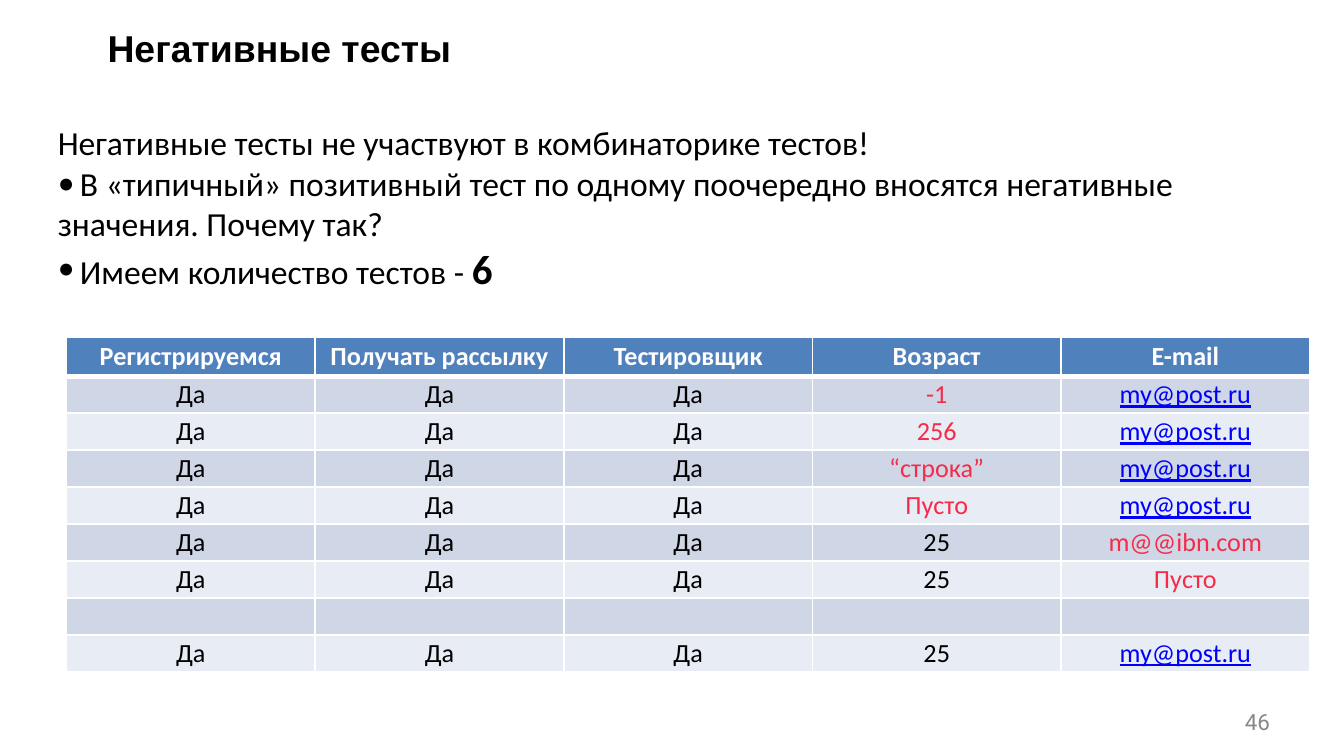
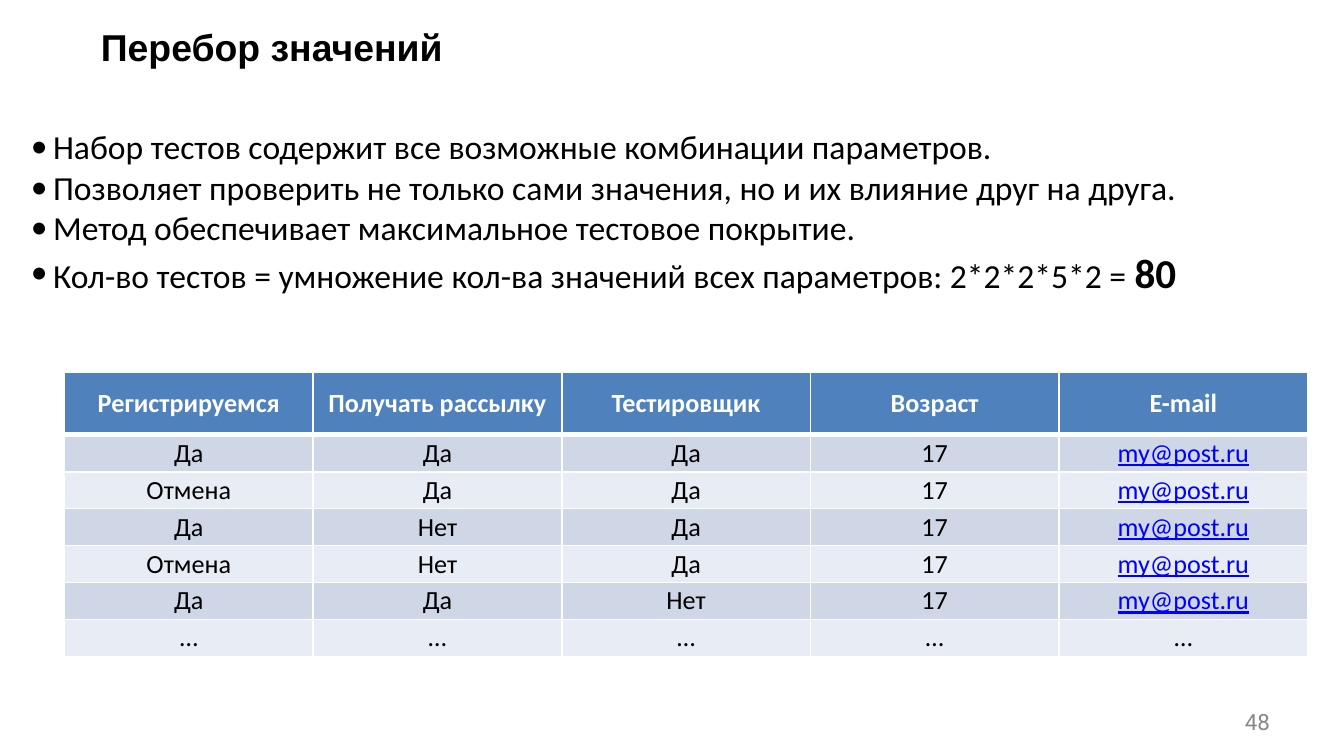
from dataclasses import dataclass

from lxml import etree
from pptx import Presentation
from pptx.dml.color import RGBColor
from pptx.enum import text
from pptx.oxml import ns
from pptx import util as u


@dataclass(frozen=True)
class Theme:
    # Colours
    ink: str = "000000"
    paper: str = "FFFFFF"
    header: str = "4F81BD"
    bands: tuple = ("CFD7E7", "E8ECF4")
    wrong: str = "F52B49"
    link: str = "0000FF"
    muted: str = "888888"
    # Fonts and sizes in points
    title_font: str = "Arial"
    body_font: str = "Calibri"
    number_font: str = "Roboto"
    title_size: int = 20
    body_size: int = 18
    result_size: int = 22
    cell_size: int = 14
    number_size: int = 12


# The slide is a grid of 100 columns by 56.25 square rows
COLUMNS, ROWS = 100, 56.25
BULLET_INDENT = 1.65
INSET = 0.5


class Deck:
    def __init__(self, theme):
        self.theme = theme
        self.prs = Presentation()
        self.prs.slide_width, self.prs.slide_height = u.Inches(10), u.Inches(5.625)
        self.slide = None

    def x(self, columns):
        return u.Emu(round(self.prs.slide_width * columns / COLUMNS))

    def y(self, rows):
        return u.Emu(round(self.prs.slide_height * rows / ROWS))

    def new_slide(self):
        self.slide = self.prs.slides.add_slide(self.prs.slide_layouts[1])

    def place(self, box, area, anchor=text.MSO_ANCHOR.TOP, wrap=True):
        left, top, width, height = area
        box.left, box.top = self.x(left), self.y(top)
        box.width, box.height = self.x(width), self.y(height)
        frame = box.text_frame
        settings = {"word_wrap": wrap, "vertical_anchor": anchor,
                    "auto_size": text.MSO_AUTO_SIZE.NONE}
        settings |= {f"margin_{side}": self.x(INSET)
                     for side in ("left", "top", "right", "bottom")}
        for name, value in settings.items():
            setattr(frame, name, value)
        return frame

    def add_words(self, paragraph, words, color, align=text.PP_ALIGN.LEFT, **style):
        paragraph.alignment = align
        run = paragraph.add_run()
        run.text = words
        run.font.color.rgb = RGBColor.from_string(color)
        for name, value in style.items():
            setattr(run.font, name, value)

    def title(self, words, left, top):
        frame = self.place(self.slide.shapes.title, (left, top, 69.8, 4.1))
        self.add_words(frame.paragraphs[0], words, self.theme.ink, bold=True,
                       name=self.theme.title_font, size=u.Pt(self.theme.title_size))

    def bullet(self, paragraph, shown):
        props = paragraph._p.get_or_add_pPr()
        indent = self.x(BULLET_INDENT) if shown else 0
        props.set("marL", str(indent))
        props.set("indent", str(-indent))
        if shown:
            etree.SubElement(props, ns.qn("a:buFont"), typeface=self.theme.body_font)
            etree.SubElement(props, ns.qn("a:buChar"), char="•")
        else:
            etree.SubElement(props, ns.qn("a:buNone"))

    def body(self, lines, result, area):
        """Lines are (words, bulleted); the result closes the last line."""
        frame = self.place(self.slide.placeholders[1], area)
        for index, (words, bulleted) in enumerate(lines):
            paragraph = frame.add_paragraph() if index else frame.paragraphs[0]
            paragraph.space_before = u.Pt(0)
            self.bullet(paragraph, bulleted)
            self.add_words(paragraph, words, self.theme.ink, name=self.theme.body_font,
                           size=u.Pt(self.theme.body_size))
        self.add_words(paragraph, result, self.theme.ink, name=self.theme.body_font,
                       size=u.Pt(self.theme.result_size), bold=True)

    def borders(self, cell, bottom):
        props = cell._tc.get_or_add_tcPr()
        widths = {"a:lnL": 1, "a:lnR": 1, "a:lnT": 1, "a:lnB": bottom}
        for index, (tag, width) in enumerate(widths.items()):
            line = etree.Element(ns.qn(tag), w=str(u.Pt(width)))
            fill = etree.SubElement(line, ns.qn("a:solidFill"))
            etree.SubElement(fill, ns.qn("a:srgbClr"), val=self.theme.paper)
            props.insert(index, line)

    def cell(self, cell, words, fill, color, bottom=1, **style):
        settings = {"margin_left": 0, "margin_top": 0, "margin_right": 0,
                    "margin_bottom": 0, "vertical_anchor": text.MSO_ANCHOR.MIDDLE}
        for name, value in settings.items():
            setattr(cell, name, value)
        cell.fill.solid()
        cell.fill.fore_color.rgb = RGBColor.from_string(fill)
        self.borders(cell, bottom)
        paragraph = cell.text_frame.paragraphs[0]
        size = u.Pt(self.theme.cell_size)
        if words:
            self.add_words(paragraph, words, color, text.PP_ALIGN.CENTER,
                           name=self.theme.body_font, size=size, **style)
        else:
            etree.SubElement(paragraph._p, ns.qn("a:endParaRPr"),
                             sz=str(int(size.pt * 100)))

    def table(self, header, tests, left, top, header_height, invalid=()):
        width, row_height = 92.5, 2.75
        height = header_height + row_height * len(tests)
        table = self.slide.shapes.add_table(
            len(tests) + 1, len(header), self.x(left), self.y(top),
            self.x(width), self.y(height)).table
        for column in table.columns:
            column.width = self.x(width / len(header))
        for index, row in enumerate(table.rows):
            row.height = self.y(row_height if index else header_height)
        for column, words in enumerate(header):
            self.cell(table.cell(0, column), words, self.theme.header,
                      self.theme.paper, bottom=3, bold=True)
        for index, values in enumerate(tests):
            for column, words in enumerate(values):
                is_link = words == EMAIL
                color = (self.theme.link if is_link else
                         self.theme.wrong if words in invalid else self.theme.ink)
                self.cell(table.cell(index + 1, column), words,
                          self.theme.bands[index % 2], color,
                          bold=False, underline=is_link)

    def page_number(self, number):
        box = self.slide.shapes.add_textbox(0, 0, 0, 0)
        frame = self.place(box, (92.1, 52.2, 2.9, 2.9), text.MSO_ANCHOR.MIDDLE, False)
        self.add_words(frame.paragraphs[0], str(number), self.theme.muted,
                       text.PP_ALIGN.RIGHT, name=self.theme.number_font,
                       size=u.Pt(self.theme.number_size))


# Shared content
EMAIL = "my@post.ru"
PARAMETERS = ["Регистрируемся", "Получать рассылку", "Тестировщик", "Возраст", "E-mail"]


def negative_tests(deck):
    deck.new_slide()
    deck.page_number(46)
    deck.title("Негативные тесты", 7.5, 1.4)
    deck.body([
        ("Негативные тесты не участвуют в комбинаторике тестов!", False),
        ("В «типичный» позитивный тест по одному поочередно вносятся негативные", True),
        ("значения. Почему так?", False),
        ("Имеем количество тестов - ", True),
    ], "6", (3.8, 8.6, 92.4, 13.4))
    wrong_ages = ["-1", "256", "“строка”", "Пусто"]
    wrong_emails = ["m@@ibn.com", "Пусто"]
    agreed = ["Да"] * 3
    tests = [agreed + [age, EMAIL] for age in wrong_ages]
    tests += [agreed + ["25", email] for email in wrong_emails]
    tests += [[""] * len(PARAMETERS), agreed + ["25", EMAIL]]
    deck.table(PARAMETERS, tests, 4.95, 25.1, 2.9, wrong_ages + wrong_emails)


def all_combinations(deck):
    deck.new_slide()
    deck.page_number(48)
    deck.title("Перебор значений", 7, 1.3)
    deck.body([
        ("Набор тестов содержит все возможные комбинации параметров.", True),
        ("Позволяет проверить не только сами значения, но и их влияние друг на друга.", True),
        ("Метод обеспечивает максимальное тестовое покрытие.", True),
        ("Кол-во тестов = умножение кол-ва значений всех параметров: 2*2*2*5*2 = ", True),
    ], "80", (1.8, 8.9, 96.4, 13.4))
    choices = [
        ("Да", "Да", "Да"),
        ("Отмена", "Да", "Да"),
        ("Да", "Нет", "Да"),
        ("Отмена", "Нет", "Да"),
        ("Да", "Да", "Нет"),
    ]
    tests = [[*choice, "17", EMAIL] for choice in choices]
    tests.append(["…"] * len(PARAMETERS))
    deck.table(PARAMETERS, tests, 4.8, 27.7, 4.65)


def main():
    deck = Deck(Theme())
    negative_tests(deck)
    all_combinations(deck)
    deck.prs.save("out.pptx")


if __name__ == "__main__":
    main()
